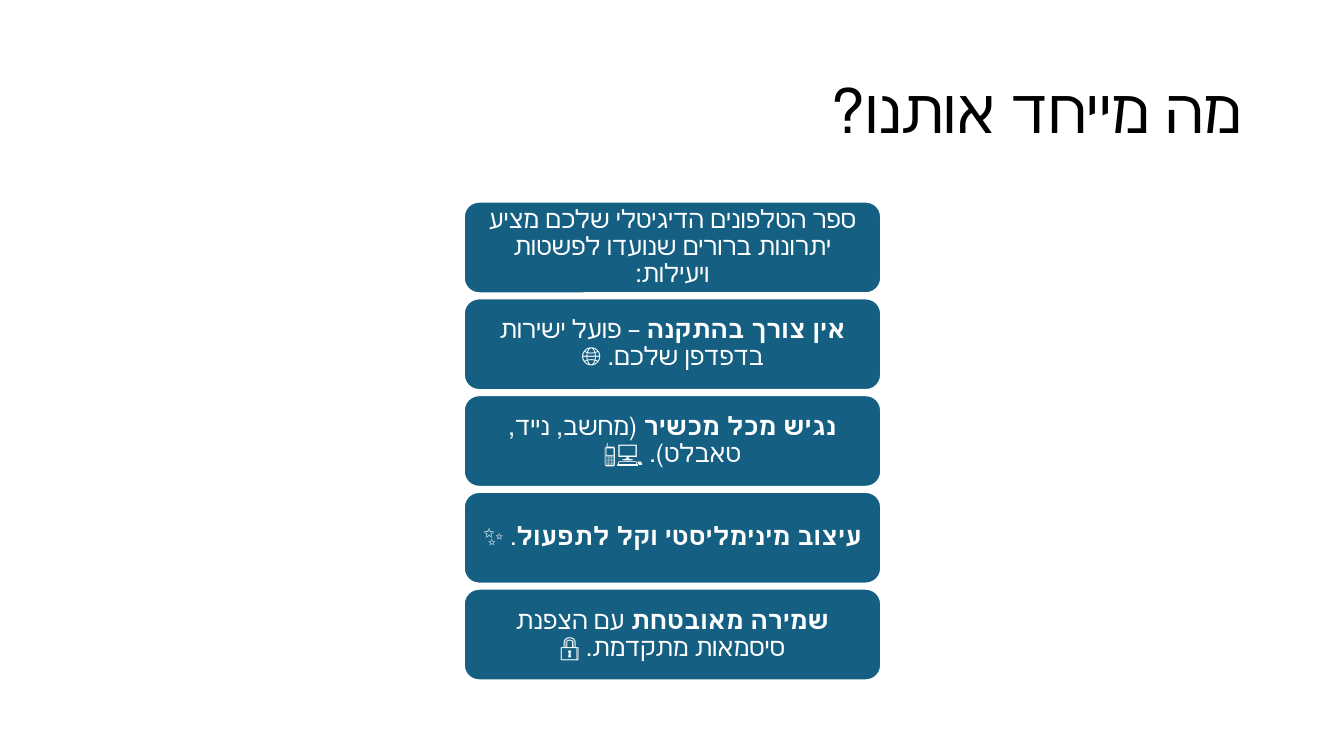
from pptx import Presentation
from pptx.dml.color import RGBColor
from pptx.enum.lang import MSO_LANGUAGE_ID
from pptx.enum.shapes import MSO_SHAPE
from pptx.enum.text import MSO_ANCHOR, PP_ALIGN
from pptx.util import Inches, Pt

TITLE = "מה מייחד אותנו?"
# Each card: bold lead, plain rest
CARDS = [
    ("", "ספר הטלפונים הדיגיטלי שלכם מציע יתרונות ברורים שנועדו לפשטות ויעילות:"),
    ("אין צורך בהתקנה", " – פועל ישירות בדפדפן שלכם. 🌐"),
    ("נגיש מכל מכשיר", " (מחשב, נייד, טאבלט). 💻📱"),
    ("עיצוב מינימליסטי וקל לתפעול", ". ✨"),
    ("שמירה מאובטחת", " עם הצפנת סיסמאות מתקדמת. 🔒"),
]

FONT = "Open Sans"
BLACK = RGBColor(0x00, 0x00, 0x00)
WHITE = RGBColor(0xFF, 0xFF, 0xFF)
TEAL = RGBColor(0x15, 0x60, 0x82)

LEFT, TOP, WIDTH, HEIGHT, STEP = 4.6, 2, 4.14, 0.91, 0.96
FRAME = {
    "word_wrap": True,
    "vertical_anchor": MSO_ANCHOR.MIDDLE,
    "margin_left": Inches(0.07),
    "margin_right": Inches(0.07),
    "margin_top": Inches(0.04),
    "margin_bottom": Inches(0.04),
}


def apply(target, values):
    for name, value in values.items():
        setattr(target, name, value)


def write(para, parts, size, color, align):
    """Fill a right-to-left paragraph with (text, bold) parts."""
    apply(para, {"alignment": align, "line_spacing": 0.9})
    para._p.get_or_add_pPr().set("rtl", "1")
    for text, bold in parts:
        if not text:
            continue
        run = para.add_run()
        run.text = text
        apply(run.font, {"size": Pt(size), "bold": bold, "name": FONT,
                         "language_id": MSO_LANGUAGE_ID.HEBREW})
        run.font.color.rgb = color


def add_card(slide, top, lead, rest):
    card = slide.shapes.add_shape(
        MSO_SHAPE.ROUNDED_RECTANGLE,
        Inches(LEFT), Inches(top), Inches(WIDTH), Inches(HEIGHT))
    card.shadow.inherit = False
    card.fill.solid()
    card.fill.fore_color.rgb = TEAL
    card.line.color.rgb = WHITE
    card.line.width = Pt(1.5)
    apply(card.text_frame, FRAME)
    write(card.text_frame.paragraphs[0], [(lead, True), (rest, False)],
          18, WHITE, PP_ALIGN.CENTER)


def main():
    deck = Presentation()
    apply(deck, {"slide_width": Inches(13.33), "slide_height": Inches(7.5)})
    slide = deck.slides.add_slide(deck.slide_layouts[5])

    title = slide.shapes.title
    apply(title, {"left": Inches(0.92), "top": Inches(0.4),
                  "width": Inches(11.5), "height": Inches(1.45)})
    title.text_frame.vertical_anchor = MSO_ANCHOR.MIDDLE
    write(title.text_frame.paragraphs[0], [(TITLE, False)],
          44, BLACK, PP_ALIGN.RIGHT)

    for row, (lead, rest) in enumerate(CARDS):
        add_card(slide, TOP + row * STEP, lead, rest)
    deck.save("out.pptx")


if __name__ == "__main__":
    main()
